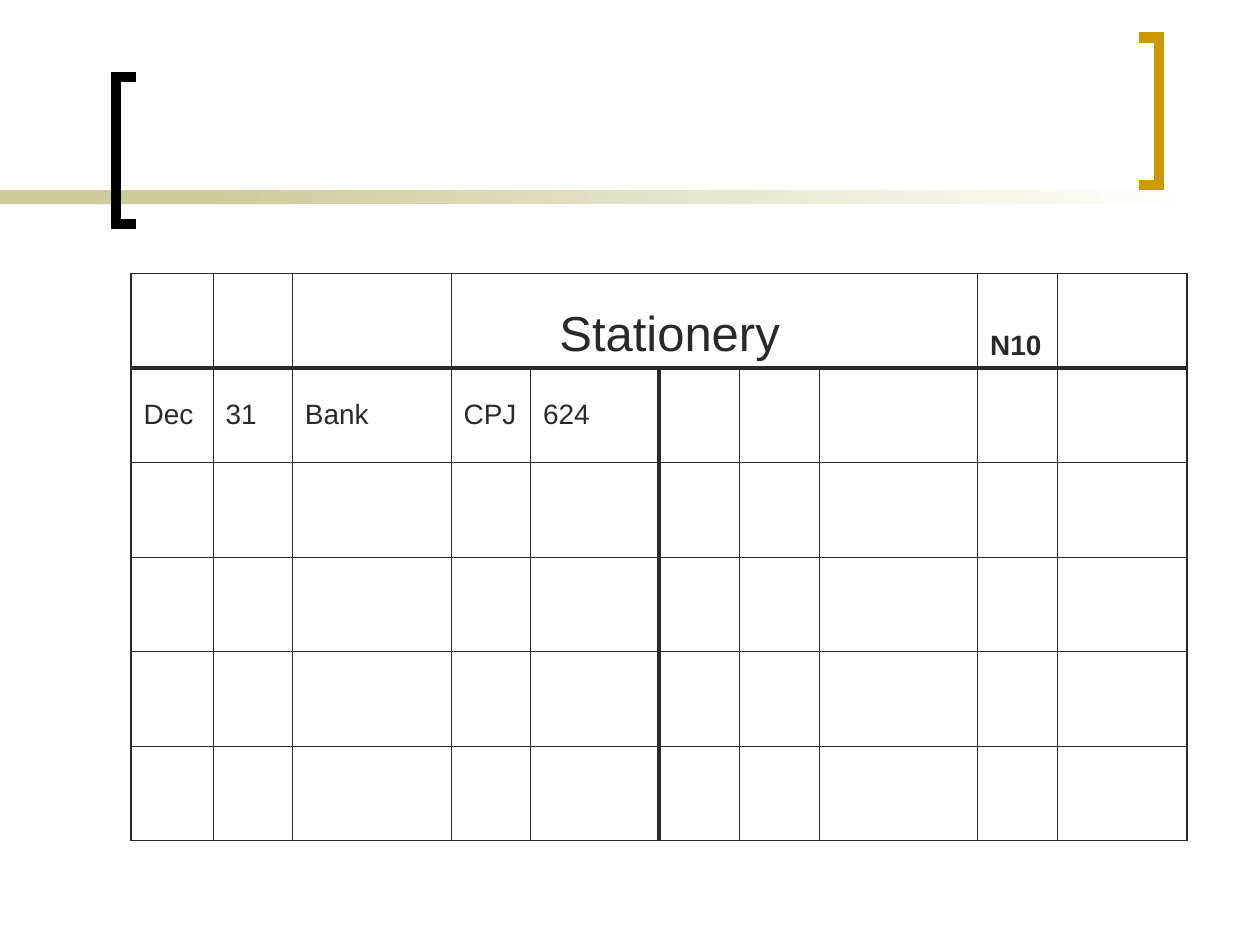
from dataclasses import dataclass

from lxml import etree
from pptx import Presentation
from pptx import util as u
from pptx.dml.color import RGBColor
from pptx.enum import shapes, text
from pptx.oxml.ns import qn

W, H = 10, 7.5
FONT = "Arial"
COLORS = {
    "ink": "292929",
    "black": "000000",
    "gold": "CC9900",
    "sand": "CCCC99",
    "white": "FFFFFF",
}
THIN, OUTER, HEAVY = 0.45, 1.08, 2.21
COLS = [0.65, 0.63, 1.26, 0.63, 1.02, 0.64, 0.63, 1.26, 0.63, 1.03]
ROWS = 6
ROW_H = H / 10
LEDGER_MIDDLE = 5


@dataclass
class Bracket:
    open_x: float
    spine_x: float
    top: float
    color: str
    height: float = 1.17


@dataclass
class Entry:
    row: int
    col: int
    words: str
    size: int = 16
    bold: bool = False
    span: int = 1
    indent: float = 0


BRACKETS = [
    Bracket(1.08, 0.92, 0.61, "black"),
    Bracket(9.04, 9.2, 0.3, "gold"),
]
ENTRIES = [
    Entry(0, 3, "Stationery", size=28, span=5, indent=0.76),
    Entry(0, 8, "N10", bold=True),
    *[Entry(1, c, words) for c, words in enumerate(["Dec", "31", "Bank", "CPJ", "624"])],
]


def rgb(name: str) -> RGBColor:
    return RGBColor.from_string(COLORS[name])


def add_band(s, left: float, width: float, fade: bool) -> None:
    sp = s.shapes.add_shape(
        shapes.MSO_SHAPE.RECTANGLE, u.Inches(left), u.Inches(1.51), u.Inches(width), u.Inches(0.11)
    )
    sp.shadow.inherit = False
    sp.line.fill.background()
    if fade:
        sp.fill.gradient()
        sp.fill.gradient_angle = 0
        for stop, name, position in zip(sp.fill.gradient_stops, ("sand", "white"), (0, 1)):
            stop.color.rgb = rgb(name)
            stop.position = position
    else:
        sp.fill.solid()
        sp.fill.fore_color.rgb = rgb("sand")


def add_bracket(s, b: Bracket) -> None:
    bottom = b.top + b.height
    builder = s.shapes.build_freeform(u.Inches(b.open_x), u.Inches(b.top))
    corners = [(b.spine_x, b.top), (b.spine_x, bottom), (b.open_x, bottom)]
    builder.add_line_segments([(u.Inches(x), u.Inches(y)) for x, y in corners], close=False)
    sp = builder.convert_to_shape()
    sp.shadow.inherit = False
    sp.fill.background()
    sp.line.color.rgb = rgb(b.color)
    sp.line.width = u.Pt(6)
    ln = sp._element.spPr.find(qn("a:ln"))
    etree.SubElement(ln, qn("a:miter"), lim="800000")


def row_edge(i: int) -> float:
    return {0: OUTER, 1: HEAVY, ROWS: OUTER}.get(i, THIN)


def col_edge(i: int, row: int) -> float:
    if i in (0, len(COLS)):
        return OUTER
    return HEAVY if i == LEDGER_MIDDLE and row > 0 else THIN


def set_borders(cell, row: int, col: int, span: int) -> None:
    edges = {
        "a:lnL": col_edge(col, row),
        "a:lnR": col_edge(col + span, row),
        "a:lnT": row_edge(row),
        "a:lnB": row_edge(row + 1),
    }
    tcPr = cell._tc.get_or_add_tcPr()
    for i, (tag, weight) in enumerate(edges.items()):
        ln = etree.Element(qn(tag), w=str(int(u.Pt(weight))))
        fill = etree.SubElement(ln, qn("a:solidFill"))
        etree.SubElement(fill, qn("a:srgbClr"), val=COLORS["ink"])
        tcPr.insert(i, ln)


def write_entry(cell, e: Entry) -> None:
    cell.vertical_anchor = text.MSO_ANCHOR.BOTTOM if e.row == 0 else text.MSO_ANCHOR.MIDDLE
    p = cell.text_frame.paragraphs[0]
    if e.indent:
        p._p.get_or_add_pPr().set("marL", str(int(u.Inches(e.indent))))
    r = p.add_run()
    r.text = e.words
    r.font.name = FONT
    r.font.size = u.Pt(e.size)
    r.font.bold = e.bold
    r.font.color.rgb = rgb("ink")


def add_ledger(s) -> None:
    frame = s.shapes.add_table(
        ROWS, len(COLS), u.Inches(1.04), u.Inches(2.17), u.Inches(sum(COLS)), u.Inches(ROWS * ROW_H)
    )
    table = frame.table
    table.first_row = table.horz_banding = False
    for column, width in zip(table.columns, COLS):
        column.width = u.Inches(width)
    for row in table.rows:
        row.height = u.Inches(ROW_H)
    entries = {(e.row, e.col): e for e in ENTRIES}
    for r in range(ROWS):
        for c in range(len(COLS)):
            cell = table.cell(r, c)
            e = entries.get((r, c))
            span = e.span if e else 1
            cell.fill.background()
            set_borders(cell, r, c, span)
            if span > 1:
                cell.merge(table.cell(r, c + span - 1))
            if e:
                write_entry(cell, e)


def main() -> None:
    prs = Presentation()
    prs.slide_width, prs.slide_height = u.Inches(W), u.Inches(H)
    s = prs.slides.add_slide(prs.slide_layouts[6])
    add_band(s, 0, 2.33, fade=False)
    add_band(s, 1.58, 7.92, fade=True)
    for b in BRACKETS:
        add_bracket(s, b)
    add_ledger(s)
    prs.save("out.pptx")


if __name__ == "__main__":
    main()
